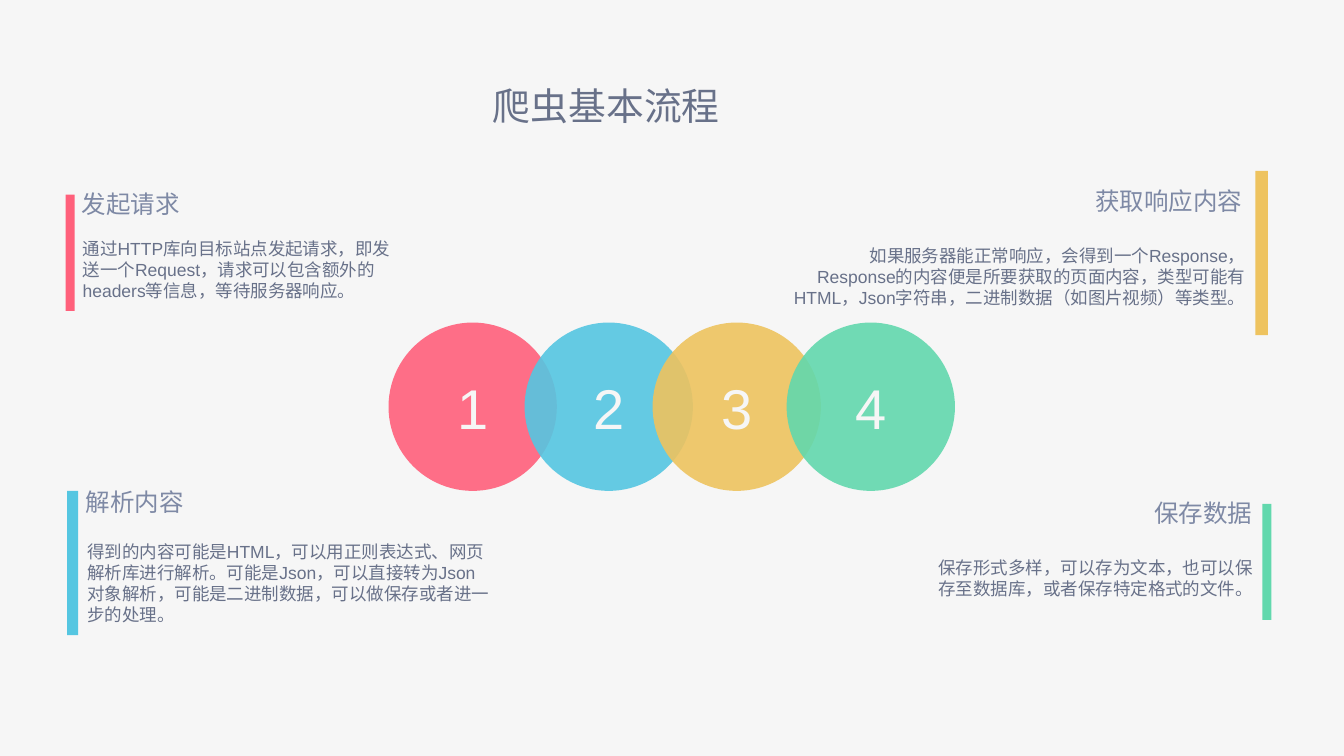
from dataclasses import dataclass

from lxml import etree
from pptx import Presentation
from pptx.dml.color import RGBColor
from pptx.enum.shapes import MSO_SHAPE
from pptx.enum.text import MSO_ANCHOR, MSO_AUTO_SIZE, PP_ALIGN
from pptx.oxml.ns import qn
from pptx.util import Inches, Pt

OVAL, RECT = MSO_SHAPE.OVAL, MSO_SHAPE.RECTANGLE
LEFT, CENTER, RIGHT = PP_ALIGN.LEFT, PP_ALIGN.CENTER, PP_ALIGN.RIGHT
MIDDLE, NO_FIT = MSO_ANCHOR.MIDDLE, MSO_AUTO_SIZE.NONE

FONT = "Arial"
COLORS = {
    "background": "F6F6F6",
    "text": "687189",
    "heading": "7E89A5",
    "red": "FF607B",
    "blue": "55C6E1",
    "yellow": "EEC35F",
    "green": "62D8AD",
}
INSET = 0.06
CIRCLE_TOP, CIRCLE_SIZE = 6.4, 3.34
NUMBER_WIDTH, NUMBER_HEIGHT = 0.74, 1.44

Box = tuple[float, float, float, float]


@dataclass
class Circle:
    left: float
    color: str


@dataclass
class Step:
    heading: str
    paragraphs: list[str]
    color: str
    align: PP_ALIGN
    heading_box: Box
    body_box: Box
    bar_box: Box


CIRCLES = [
    Circle(7.71, "red"),
    Circle(10.41, "blue"),
    Circle(12.95, "yellow"),
    Circle(15.61, "green"),
]

STEPS = [
    Step("发起请求",
         ["通过HTTP库向目标站点发起请求，即发送一个Request，请求可以包含额外的headers等信息，等待服务器响应。"],
         "red", LEFT,
         (1.56, 3.64, 2.08, 0.79), (1.58, 4.54, 6.54, 1.62), (1.3, 3.86, 0.18, 2.31)),
    Step("解析内容",
         ["得到的内容可能是HTML，可以用正则表达式、网页解析库进行解析。可能是Json，可以直接转为Json对象解析，"
          "可能是二进制数据，可以做保存或者进一步的处理。"],
         "blue", LEFT,
         (1.64, 9.5, 2.37, 0.92), (1.67, 9.95, 8.11, 3.25), (1.33, 9.74, 0.22, 2.86)),
    Step("获取响应内容",
         ["如果服务器能正常响应，会得到一个Response，",
          "Response的内容便是所要获取的页面内容，类型可能有HTML，Json字符串，二进制数据（如图片视频）等类型。"],
         "yellow", RIGHT,
         (19.68, 3.42, 5.03, 1.12), (15.54, 3.99, 9.23, 2.99), (24.91, 3.39, 0.25, 3.26)),
    Step("保存数据",
         ["保存形式多样，可以存为文本，也可以保存至数据库，或者保存特定格式的文件。"],
         "green", RIGHT,
         (21.36, 9.78, 3.55, 0.79), (18.4, 10.92, 6.52, 1.11), (25.05, 10, 0.18, 2.3)),
]


def rgb(name: str) -> RGBColor:
    return RGBColor.from_string(COLORS[name])


def write_text(sp, paragraphs: list[str], size: float, color: str, align: PP_ALIGN) -> None:
    tf = sp.text_frame
    tf.word_wrap = True
    tf.auto_size = NO_FIT
    tf.vertical_anchor = MIDDLE
    tf.margin_left = tf.margin_right = tf.margin_top = tf.margin_bottom = Inches(INSET)
    for i, text in enumerate(paragraphs):
        p = tf.add_paragraph() if i else tf.paragraphs[0]
        p.alignment = align
        r = p.add_run()
        r.text = text
        r.font.name = FONT
        r.font.size = Pt(size)
        r.font.color.rgb = rgb(color)


def add_text(group, box: Box, paragraphs: list[str], size: float, color: str,
             align: PP_ALIGN) -> None:
    sp = group.shapes.add_textbox(*map(Inches, box))
    write_text(sp, paragraphs, size, color, align)


def add_filled(group, kind: MSO_SHAPE, box: Box, color: str, opacity: int = 100) -> None:
    sp = group.shapes.add_shape(kind, *map(Inches, box))
    sp.shadow.inherit = False
    sp.fill.solid()
    sp.fill.fore_color.rgb = rgb(color)
    sp.line.fill.background()
    if opacity < 100:
        clr = sp.fill._xPr.find(f"{qn('a:solidFill')}/{qn('a:srgbClr')}")
        etree.SubElement(clr, qn("a:alpha")).set("val", str(opacity * 1000))


def add_circle(s, number: int, circle: Circle) -> None:
    group = s.shapes.add_group_shape()
    add_filled(group, OVAL, (circle.left, CIRCLE_TOP, CIRCLE_SIZE, CIRCLE_SIZE),
               circle.color, opacity=90)
    number_box = (circle.left + (CIRCLE_SIZE - NUMBER_WIDTH) / 2,
                  CIRCLE_TOP + (CIRCLE_SIZE - NUMBER_HEIGHT) / 2,
                  NUMBER_WIDTH, NUMBER_HEIGHT)
    add_text(group, number_box, [str(number)], 80, "background", CENTER)


def add_step(s, step: Step) -> None:
    group = s.shapes.add_group_shape()
    add_text(group, step.heading_box, [step.heading], 35, "heading", step.align)
    add_text(group, step.body_box, step.paragraphs, 25, "text", step.align)
    add_filled(group, RECT, step.bar_box, step.color)


def main() -> None:
    prs = Presentation()
    prs.slide_width, prs.slide_height = Inches(26.67), Inches(15)
    s = prs.slides.add_slide(prs.slide_layouts[5])
    s.background.fill.solid()
    s.background.fill.fore_color.rgb = rgb("background")

    # Title
    title = s.shapes.title
    title.left, title.top = Inches(9.72), Inches(1.51)
    title.width, title.height = Inches(7.23), Inches(1.15)
    write_text(title, ["爬虫基本流程"], 54, "text", LEFT)

    # Overlapping numbered circles
    for number, circle in enumerate(CIRCLES, start=1):
        add_circle(s, number, circle)

    # Step descriptions with coloured bars
    for step in STEPS:
        add_step(s, step)

    prs.save("out.pptx")


if __name__ == "__main__":
    main()
